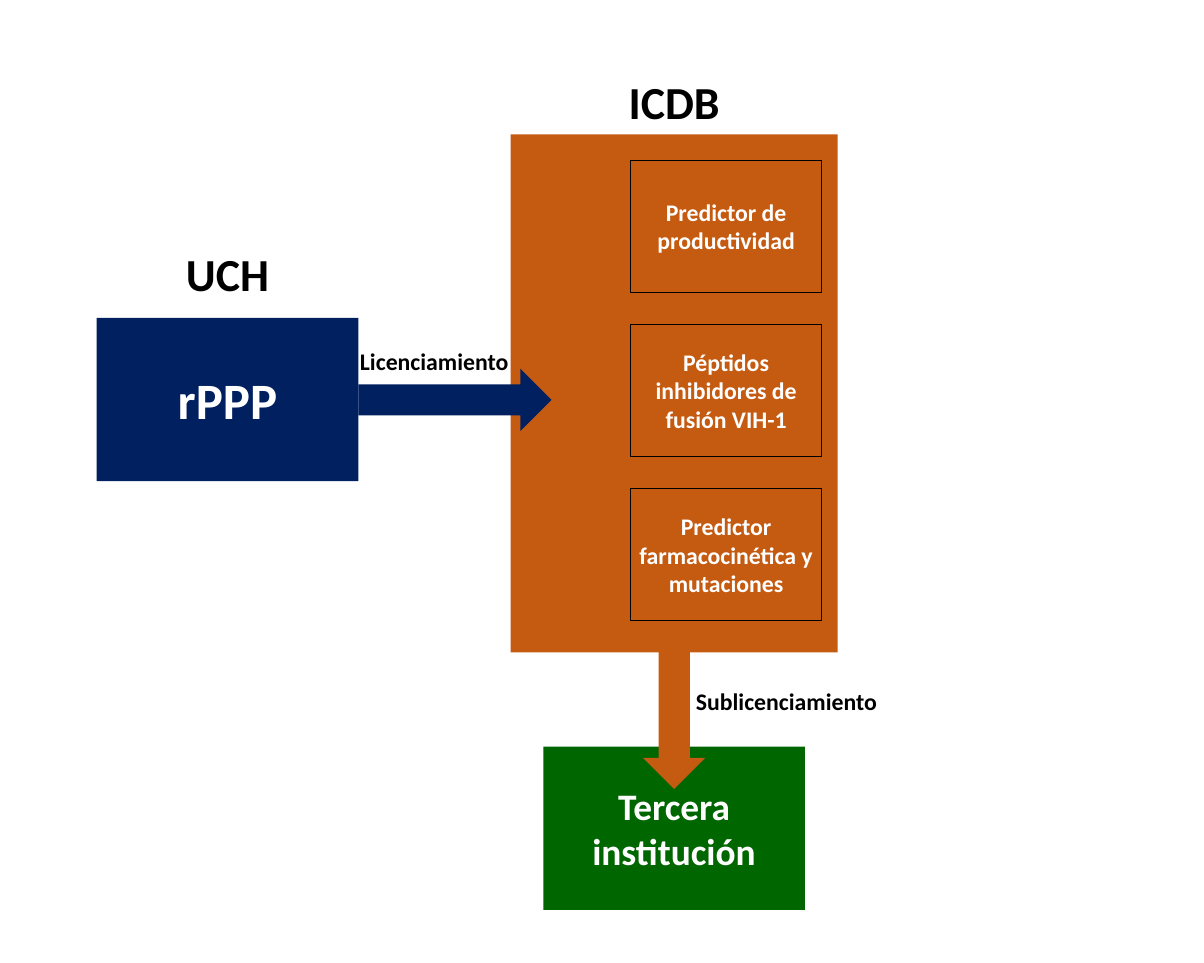
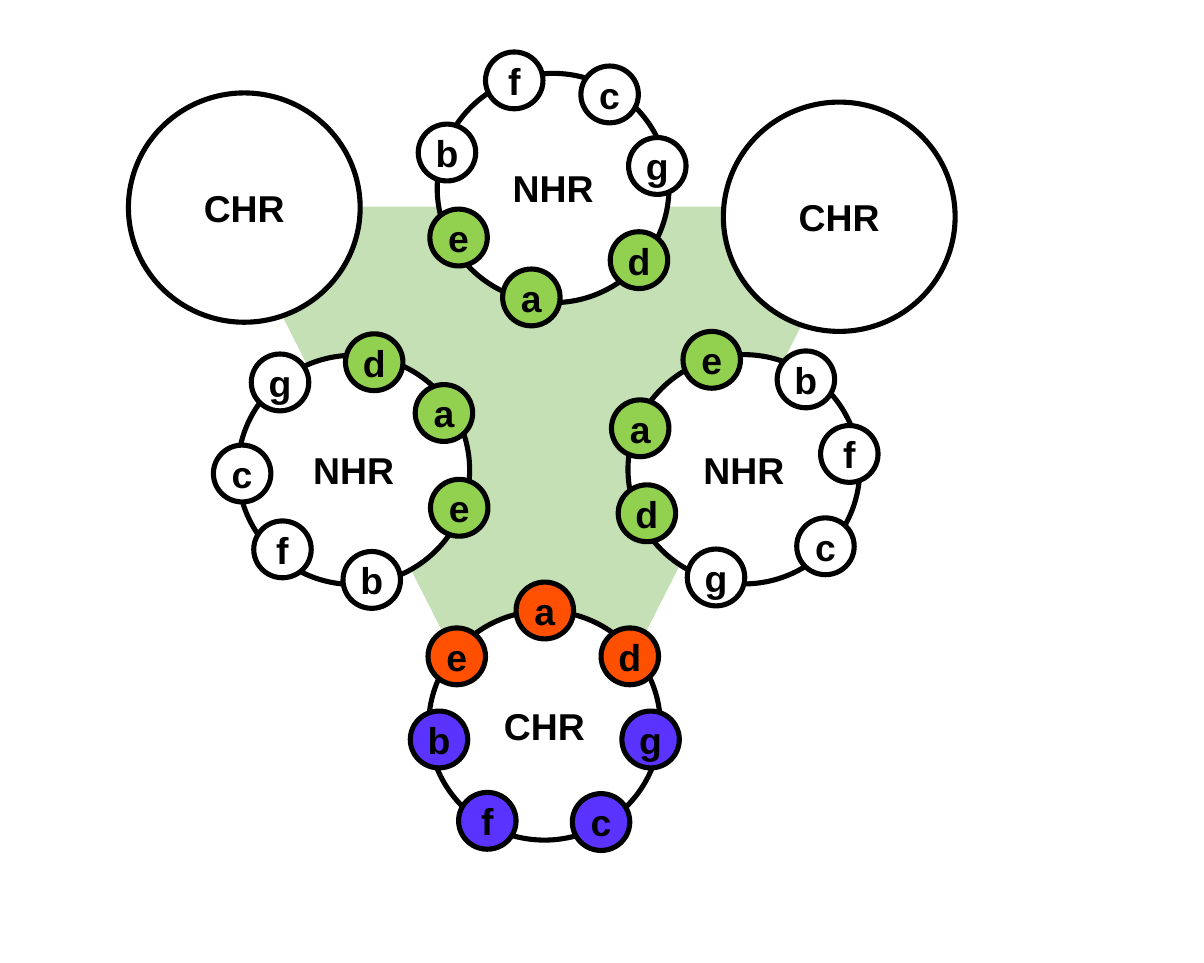
from pptx import Presentation
from pptx import util as u
from pptx.dml.color import RGBColor
from pptx.enum import shapes, text

BLACK = RGBColor(0x00, 0x00, 0x00)
WHITE = RGBColor(0xFF, 0xFF, 0xFF)
NAVY = RGBColor(0x00, 0x20, 0x60)
RUST = RGBColor(0xC5, 0x5A, 0x11)
FOREST = RGBColor(0x00, 0x66, 0x00)
PALE_GREEN = RGBColor(0xC5, 0xE0, 0xB4)
LIME = RGBColor(0x92, 0xD0, 0x50)
ORANGE = RGBColor(0xFF, 0x50, 0x01)
VIOLET = RGBColor(0x5A, 0x33, 0xFF)

SHAPE = shapes.MSO_SHAPE
SLIDE_SIZE = (19.69, 15.75)

OWNER_SIZE = (4.28, 2.67)
OWNER_LEFT, OWNER_TOP = 1.58, 5.2
PANEL = (8.35, 2.2, 5.35, 8.47)
PANEL_CENTRE = PANEL[0] + PANEL[2] / 2
THIRD_LEFT, THIRD_TOP = PANEL_CENTRE - OWNER_SIZE[0] / 2, 12.21
PRODUCTS = [
    "Predictor de productividad",
    "Péptidos inhibidores de fusión VIH-1",
    "Predictor farmacocinética y mutaciones",
]
PRODUCT_BOX = (10.31, 2.62, 3.13, 2.16)
PRODUCT_STEP = 2.685
LABELS = [
    ("UCH", OWNER_LEFT, 3.97, 1.01, 54),
    ("ICDB", THIRD_LEFT, 1.16, 1.01, 54),
    ("Licenciamiento", 4.96, 5.63, 0.57, 28),
    ("Sublicenciamiento", 10.72, 11.18, 0.57, 28),
]

HELIX_SIZE = (3.79, 3.75)
RESIDUE_SIZE = (0.94, 0.93)
CORE_RESIDUES = "ade"
WHEELS = [
    ("CHR", (7.01, 9.99), ORANGE, VIOLET,
     [("a", 8.44, 9.52), ("e", 7, 10.27), ("d", 9.83, 10.27), ("b", 6.71, 11.63),
      ("g", 10.17, 11.63), ("c", 9.36, 12.98), ("f", 7.5, 12.96)]),
    ("NHR", (3.89, 5.81), LIME, WHITE,
     [("g", 4.11, 5.79), ("c", 3.49, 7.28), ("d", 5.65, 5.46), ("f", 4.15, 8.52),
      ("a", 6.79, 6.29), ("e", 7.04, 7.84), ("b", 5.61, 9.02)]),
    ("NHR", (10.27, 5.8), LIME, WHITE,
     [("e", 11.17, 5.42), ("a", 10, 6.54), ("b", 12.71, 5.74), ("d", 10.11, 7.93),
      ("f", 13.42, 6.96), ("c", 13.03, 8.47), ("g", 11.24, 8.98)]),
    ("NHR", (7.15, 1.2), LIME, WHITE,
     [("f", 7.94, 0.85), ("b", 6.84, 2.03), ("c", 9.5, 1.08), ("e", 7.03, 3.42),
      ("g", 10.28, 2.25), ("d", 9.98, 3.79), ("a", 8.22, 4.4)]),
]
OUTER_HELICES = [("CHR", (11.83, 1.67)), ("CHR", (2.1, 1.52))]


def write(shape, words, size, font, color):
    frame = shape.text_frame
    frame.word_wrap = True
    frame.text = words
    paragraph = frame.paragraphs[0]
    paragraph.alignment = text.PP_ALIGN.CENTER
    run_font = paragraph.runs[0].font
    run_font.size, run_font.bold, run_font.name = u.Pt(size), True, font
    run_font.color.rgb = color


def add_figure(parent, kind, box, fill, line=0):
    shape = parent.add_shape(kind, *map(u.Inches, box))
    shape.shadow.inherit = False
    shape.fill.solid()
    shape.fill.fore_color.rgb = fill
    if line:
        shape.line.color.rgb = BLACK
        shape.line.width = u.Pt(line)
    else:
        shape.line.fill.background()
    shape.text_frame.vertical_anchor = text.MSO_ANCHOR.MIDDLE
    return shape


def add_block(slide, words, box, fill, size, line=0):
    block = add_figure(slide.shapes, SHAPE.RECTANGLE, box, fill, line)
    write(block, words, size, "Calibri", WHITE)


def add_circle(parent, words, corner, size, fill):
    circle = add_figure(parent, SHAPE.OVAL, (*corner, *size), fill, 6)
    write(circle, words, 44, "Arial", BLACK)


def build_licensing(slide):
    add_block(slide, "rPPP", (OWNER_LEFT, OWNER_TOP, *OWNER_SIZE), NAVY, 60)
    add_figure(slide.shapes, SHAPE.RECTANGLE, PANEL, RUST)
    left, top, width, height = PRODUCT_BOX
    for index, product in enumerate(PRODUCTS):
        box = (left, top + index * PRODUCT_STEP, width, height)
        add_block(slide, product, box, RUST, 28, 1)
    licence_box = (OWNER_LEFT + OWNER_SIZE[0], 6.03, 3.16, 1.02)
    add_figure(slide.shapes, SHAPE.RIGHT_ARROW, licence_box, NAVY)
    third_box = (THIRD_LEFT, THIRD_TOP, *OWNER_SIZE)
    add_block(slide, "Tercera institución", third_box, FOREST, 44)
    sublicence_box = (PANEL_CENTRE - 2.33 / 2, 11.23, 2.33, 1.02)
    sublicence = add_figure(slide.shapes, SHAPE.RIGHT_ARROW, sublicence_box, RUST)
    sublicence.rotation = 90
    for words, left, top, height, size in LABELS:
        box = (left, top, OWNER_SIZE[0], height)
        label = slide.shapes.add_textbox(*map(u.Inches, box))
        write(label, words, size, "Calibri", BLACK)


def build_helices(slide):
    core = add_figure(slide.shapes, SHAPE.TRAPEZOID, (3.71, 3.38, 10.38, 7.48), PALE_GREEN)
    core.adjustments[0] = 0.507
    core.rotation = 180
    for name, corner, core_fill, outer_fill, residues in WHEELS:
        wheel = slide.shapes.add_group_shape().shapes
        add_circle(wheel, name, corner, HELIX_SIZE, WHITE)
        for letter, left, top in residues:
            fill = core_fill if letter in CORE_RESIDUES else outer_fill
            add_circle(wheel, letter, (left, top), RESIDUE_SIZE, fill)
    for name, corner in OUTER_HELICES:
        add_circle(slide.shapes, name, corner, HELIX_SIZE, WHITE)


def main():
    presentation = Presentation()
    presentation.slide_width, presentation.slide_height = map(u.Inches, SLIDE_SIZE)
    blank = presentation.slide_layouts[6]
    for build in (build_licensing, build_helices):
        build(presentation.slides.add_slide(blank))
    presentation.save("out.pptx")


if __name__ == "__main__":
    main()
